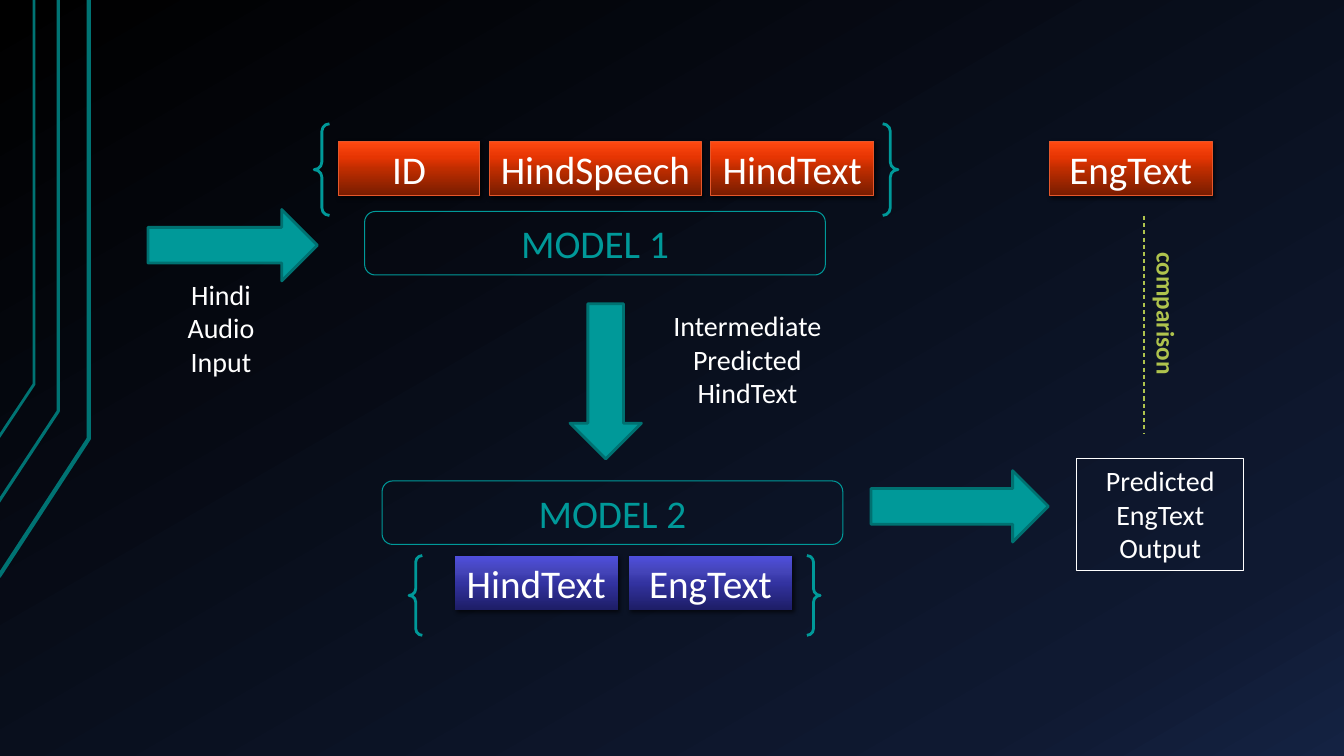
from dataclasses import dataclass

import pptx
import pptx.dml.color
import pptx.enum.dml
import pptx.enum.shapes
import pptx.enum.text
import pptx.oxml.ns
import pptx.util
from lxml import etree
from pptx.util import Cm, Pt

SHAPE = pptx.enum.shapes.MSO_SHAPE
ALIGN = pptx.enum.text.PP_ALIGN
ANCHOR = pptx.enum.text.MSO_ANCHOR
qn = pptx.oxml.ns.qn


@dataclass(frozen=True)
class Theme:
    font: str = "Calibri"
    block_size: int = 28
    label_size: int = 20
    note_size: int = 18
    white: str = "FFFFFF"
    teal: str = "009999"
    arrow_edge: str = "007171"
    stripe: str = "007373"
    lime: str = "AFC34D"
    red_edge: str = "E5572B"
    shadow: str = "000000"
    background: tuple = ((0, "000000"), (85, "0F1931"), (100, "142242"))
    red: tuple = ((0, "771C00"), (50, "C02D00"), (70, "E63503"), (100, "FF4911"))
    blue: tuple = ((0, "1D1D66"), (50, "3333A1"), (70, "4444B8"), (100, "4F4FDD"))


THEME = Theme()


def rgb(value):
    return pptx.dml.color.RGBColor.from_string(value)


def child(parent, tag, **attributes):
    return etree.SubElement(parent, qn(tag), {k: str(v) for k, v in attributes.items()})


def fill_gradient(owner, element, stops, angle):
    """Fill owner with percent/colour stops; the angle runs counter-clockwise."""
    owner.fill.gradient()
    owner.fill.gradient_angle = angle
    stop_list = next(element.iter(qn("a:gsLst")))
    for old_stop in list(stop_list):
        stop_list.remove(old_stop)
    for percent, color in stops:
        stop = child(stop_list, "a:gs", pos=percent * 1000)
        child(stop, "a:srgbClr", val=color)


def set_line(line, color, width):
    if color:
        line.color.rgb = rgb(color)
        line.width = Pt(width)
    else:
        line.fill.background()


def write(shape, text, *, size, color=THEME.white, bold=False, align=ALIGN.CENTER,
          anchor=ANCHOR.TOP, wrap=True, grow=False):
    """Write one paragraph per line of text."""
    frame = shape.text_frame
    frame.word_wrap = wrap
    frame.vertical_anchor = anchor
    if grow:
        frame.auto_size = pptx.enum.text.MSO_AUTO_SIZE.SHAPE_TO_FIT_TEXT
    frame.text = text
    for paragraph in frame.paragraphs:
        paragraph.alignment = align
        font = paragraph.font
        font.name, font.size, font.bold = THEME.font, Pt(size), bold
        font.color.rgb = rgb(color)


def add_outline(slide, kind, box, color, width, fill=None):
    shape = slide.shapes.add_shape(kind, *map(Cm, box))
    shape.shadow.inherit = False
    if fill:
        shape.fill.solid()
        shape.fill.fore_color.rgb = rgb(fill)
    else:
        shape.fill.background()
    set_line(shape.line, color, width)
    return shape


def add_data_block(slide, text, left, top, width, stops, edge=None):
    block = add_outline(slide, SHAPE.RECTANGLE, (left, top, width, 1.37), edge, 0.75)
    properties = block._element.spPr
    fill_gradient(block, properties, stops, 90)
    shadow = child(properties.find(qn("a:effectLst")), "a:outerShdw", blurRad=Pt(3),
                   dist=Pt(2), dir=45 * 60000, algn="ctr", rotWithShape=0)
    child(child(shadow, "a:srgbClr", val=THEME.shadow), "a:alpha", val=60000)
    write(block, text, size=THEME.block_size, anchor=ANCHOR.MIDDLE, wrap=False)


def add_model(slide, text, left, top):
    model = add_outline(slide, SHAPE.ROUNDED_RECTANGLE, (left, top, 11.61, 1.6),
                        THEME.teal, 0.75)
    write(model, text, size=THEME.block_size, color=THEME.teal, anchor=ANCHOR.MIDDLE)


def add_flow_arrow(slide, left, top, length, rotation=0):
    arrow = add_outline(slide, SHAPE.RIGHT_ARROW, (left, top, length, 1.8),
                        THEME.arrow_edge, 2, fill=THEME.teal)
    arrow.rotation = rotation


def add_label(slide, text, box, **text_format):
    label = slide.shapes.add_textbox(*map(Cm, box))
    write(label, text, grow=True, **text_format)
    return label


def add_stripe(slide, start, bend, width):
    """Draw a corner stripe from the left edge, through a bend, to the top edge."""
    builder = slide.shapes.build_freeform(*map(Cm, start))
    builder.add_line_segments([(Cm(bend[0]), Cm(bend[1])), (Cm(bend[0]), 0)], close=False)
    stripe = builder.convert_to_shape()
    stripe.shadow.inherit = False
    stripe.fill.background()
    set_line(stripe.line, THEME.stripe, width)


def add_comparison(slide):
    link = slide.shapes.add_connector(pptx.enum.shapes.MSO_CONNECTOR.STRAIGHT,
                                      Cm(28.83), Cm(5.44), Cm(28.83), Cm(10.92))
    set_line(link.line, THEME.lime, 0.75)
    link.line.dash_style = pptx.enum.dml.MSO_LINE.DASH
    child(link._element.spPr, "a:effectLst")
    label = add_label(slide, "comparison", (26.16, 8.84, 6.48, 1.02), size=THEME.note_size,
                      color=THEME.lime, bold=True, align=ALIGN.LEFT)
    label.rotation = 90


def main():
    deck = pptx.Presentation()
    deck.slide_width, deck.slide_height = Cm(33.87), Cm(19.05)
    slide = deck.slides.add_slide(deck.slide_layouts[6])
    fill_gradient(slide.background, slide._element, THEME.background, 300)

    for start, bend, width in (((-0.03, 14.53), (2.24, 11.05), 3),
                               ((-0.05, 12.67), (1.47, 10.36), 2.25),
                               ((-0.03, 11.02), (0.86, 9.68), 2)):
        add_stripe(slide, start, bend, width)

    for text, left, width in (("ID", 8.53, 3.56), ("HindSpeech", 12.34, 5.33),
                              ("HindText", 17.91, 4.11), ("EngText", 26.44, 4.11)):
        add_data_block(slide, text, left, 3.56, width, THEME.red, THEME.red_edge)
    for text, left in (("HindText", 11.46), ("EngText", 15.85)):
        add_data_block(slide, text, left, 14, 4.11, THEME.blue)

    add_model(slide, "MODEL 1", 9.19, 5.33)
    add_model(slide, "MODEL 2", 9.63, 12.12)
    for braces in ((7.92, 3.12, 14.71, 2.31), (10.31, 14, 10.36, 2.01)):
        add_outline(slide, SHAPE.DOUBLE_BRACE, braces, THEME.teal, 2)

    add_flow_arrow(slide, 3.73, 5.28, 4.27)
    add_flow_arrow(slide, 13.31, 8.71, 3.91, rotation=90)
    add_flow_arrow(slide, 21.95, 11.86, 4.47)

    add_label(slide, "Hindi Audio\nInput", (3.73, 6.86, 3.68, 2.84), size=THEME.label_size)
    add_label(slide, "Intermediate\nPredicted\nHindText", (16.46, 7.65, 4.75, 2.82),
              size=THEME.label_size)
    output = add_outline(slide, SHAPE.RECTANGLE, (27.13, 11.56, 4.22, 2.82),
                         THEME.white, 0.75)
    write(output, "Predicted\nEngText\nOutput", size=THEME.label_size, grow=True)
    add_comparison(slide)

    deck.save("out.pptx")


if __name__ == "__main__":
    main()
